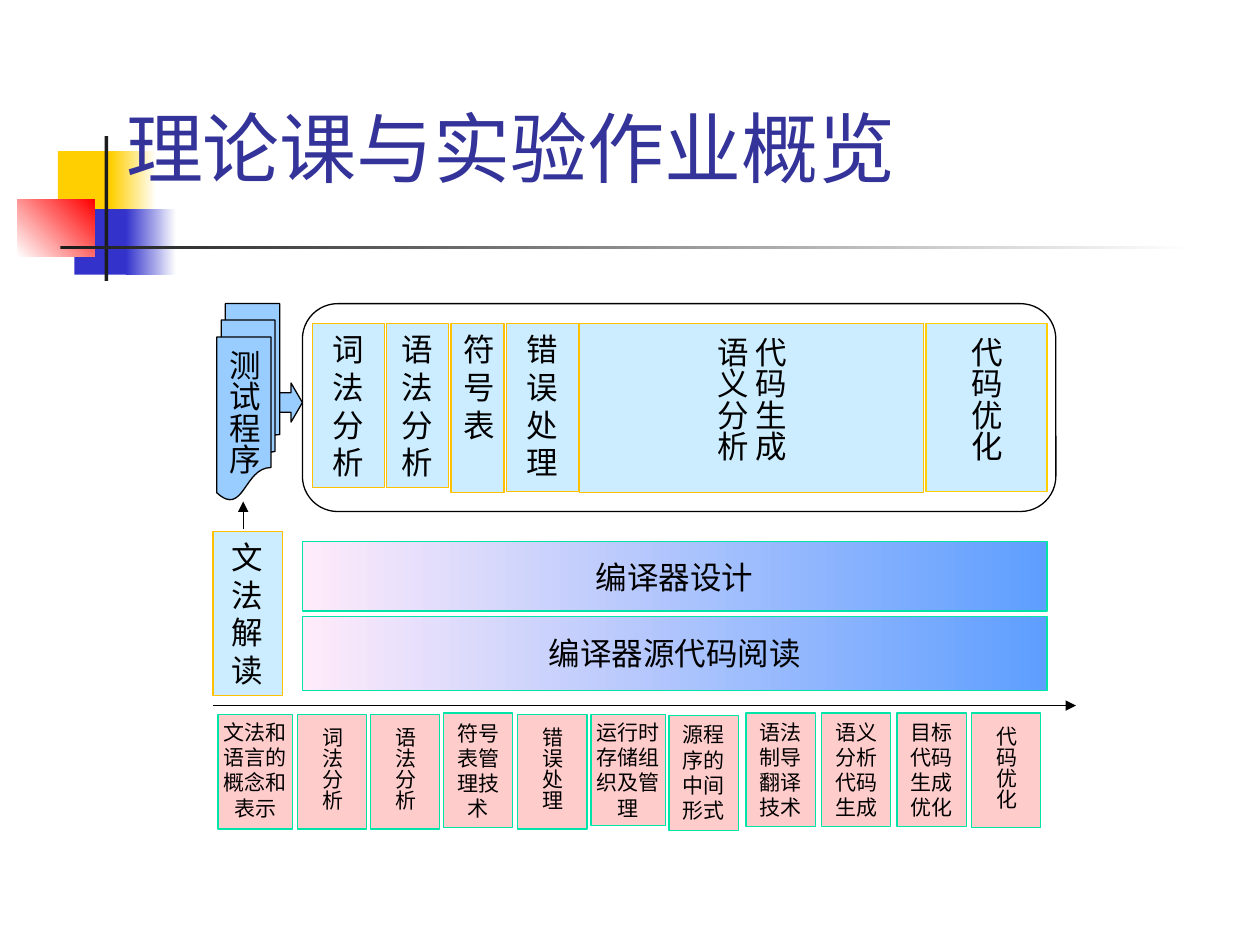
from dataclasses import dataclass

from lxml.etree import SubElement
from pptx import Presentation
from pptx.dml.color import RGBColor
from pptx.enum.shapes import MSO_CONNECTOR, MSO_SHAPE as Kind
from pptx.enum.text import MSO_ANCHOR as Anchor, MSO_AUTO_SIZE as Fit, PP_ALIGN as Align
from pptx.oxml.ns import qn
from pptx.util import Emu, Pt

PX = 9144  # EMU per px, 100 px to the inch
FONT = "Lato"
HEX = {
    "black": "000000", "white": "FFFFFF", "ink": "1C1C1C", "title": "333399",
    "yellow": "FFCF01", "blue": "3333CC", "red": "FF0000", "gold": "FFC000",
    "sky": "CCECFF", "doc": "99CCFF", "pink": "FFCCCC", "green": "00E4A8",
    "rose": "FFEBFA", "azure": "5E9EFF",
}
FLAT = (10, 5, 10, 5)
TIGHT = (4, 4, 4, 4)
TALL = (5, 10, 5, 10)


@dataclass
class Box:
    text: str
    x: int
    y: int
    w: int
    h: int
    pad: tuple[int, int, int, int] = FLAT
    mid: bool = False
    line: str = "gold"


@dataclass
class Deco:
    x: int
    y: int
    w: int
    h: int
    fill: str
    end: str | None = None
    angle: int = 0


DECOS = [
    Deco(46, 120, 48, 52, "yellow"),
    Deco(88, 120, 36, 52, "yellow", "white"),
    Deco(59, 166, 46, 52, "blue"),
    Deco(100, 166, 40, 52, "blue", "white"),
    Deco(14, 158, 61, 46, "white", "red", 45),
    Deco(83, 108, 3, 115, "ink"),
    Deco(48, 195, 900, 3, "ink", "white"),
]
STAGES = [
    Box("词法分析", 248, 257, 57, 130),
    Box("语法分析", 307, 257, 49, 130),
    Box("符号表", 358, 257, 42, 134),
    Box("错误处理", 402, 257, 57, 133),
    Box("代码生成语义分析", 460, 257, 273, 134, TALL, True),
    Box("代码优化", 735, 257, 96, 133, TALL, True, "yellow"),
    Box("文法解读", 169, 422, 55, 130),
]
TOPICS = [
    Box("文法和语言的概念和表示", 173, 567, 59, 91, TIGHT),
    Box("词法分析", 236, 567, 55, 91, TALL, True),
    Box("语法分析", 294, 567, 55, 91, TALL, True),
    Box("符号表管理技术", 352, 566, 55, 91, FLAT, True),
    Box("错误处理", 411, 567, 55, 91, TALL, True),
    Box("运行时存储组织及管理", 469, 567, 59, 88, TIGHT),
    Box("源程序的中间形式", 531, 568, 55, 91),
    Box("语法制导翻译技术", 592, 566, 55, 90),
    Box("语义分析代码生成", 652, 566, 55, 90),
    Box("目标代码生成优化", 712, 566, 55, 90),
    Box("代码优化", 771, 566, 55, 91, TALL, True),
]
BARS = [
    Box("编译器设计", 240, 430, 591, 55, FLAT, True),
    Box("编译器源代码阅读", 240, 489, 591, 59, FLAT, True),
]


def rgb(name: str) -> RGBColor:
    return RGBColor.from_string(HEX[name])


def write(shape, text: str, *, size: int, color: str = "black", align=Align.CENTER,
          anchor=Anchor.TOP, pad=FLAT, wrap: bool = True) -> None:
    """Put text in a shape; the TALL padding marks vertical text."""
    frame = shape.text_frame
    frame.text = text
    frame.auto_size = Fit.NONE
    frame.word_wrap = wrap
    frame.vertical_anchor = anchor
    (frame.margin_left, frame.margin_top,
     frame.margin_right, frame.margin_bottom) = (Emu(n * PX) for n in pad)
    if pad == TALL:
        frame._txBody.bodyPr.set("vert", "eaVert")
    para = frame.paragraphs[0]
    para.alignment = align
    font = para.runs[0].font
    font.size = Pt(size)
    font.name = FONT
    font.color.rgb = rgb(color)
    SubElement(font._element, qn("a:ea")).set("typeface", FONT)


def draw(slide, kind, x: int, y: int, w: int, h: int, *, fill: str | None = None,
         end: str | None = None, angle: int = 0, line: str | None = None):
    """Add a shape; a second colour makes its fill a gradient."""
    shape = slide.shapes.add_shape(kind, *(Emu(n * PX) for n in (x, y, w, h)))
    shape.shadow.inherit = False
    if end:
        shape.fill.gradient()
        shape.fill.gradient_angle = angle
        for stop, name in zip(shape.fill.gradient_stops, (fill, end)):
            stop.color.rgb = rgb(name)
    elif fill:
        shape.fill.solid()
        shape.fill.fore_color.rgb = rgb(fill)
    else:
        shape.fill.background()
    if line:
        shape.line.color.rgb = rgb(line)
        shape.line.width = Pt(0.75)
    else:
        shape.line.fill.background()
    return shape


def label(slide, box: Box, size: int, line: str, fill: str,
          end: str | None = None) -> None:
    shape = draw(slide, Kind.RECTANGLE, box.x, box.y, box.w, box.h,
                 fill=fill, end=end, line=line)
    write(shape, box.text, size=size, pad=box.pad,
          anchor=Anchor.MIDDLE if box.mid else Anchor.TOP)


def arrow(slide, x1: int, y1: int, x2: int, y2: int) -> None:
    link = slide.shapes.add_connector(
        MSO_CONNECTOR.STRAIGHT, *(Emu(n * PX) for n in (x1, y1, x2, y2)))
    link.line.color.rgb = rgb("black")
    link.line.width = Pt(0.75)
    SubElement(link.line._get_or_add_ln(), qn("a:tailEnd")).set("type", "triangle")
    SubElement(link._element.spPr, qn("a:effectLst"))


def head(slide, text: str) -> None:
    title = slide.shapes.title
    title.left, title.top, title.width, title.height = (
        Emu(n * PX) for n in (90, 66, 852, 92))
    write(title, text, size=44, color="title", align=Align.LEFT, anchor=Anchor.BOTTOM)
    slide.shapes._spTree.append(title._element)  # in front of the decoration


def main() -> None:
    deck = Presentation()
    deck.slide_width, deck.slide_height = Emu(1000 * PX), Emu(750 * PX)
    slide = deck.slides.add_slide(deck.slide_layouts[5])

    for d in DECOS:
        draw(slide, Kind.RECTANGLE, d.x, d.y, d.w, d.h,
             fill=d.fill, end=d.end, angle=d.angle)
    head(slide, "理论课与实验作业概览")

    frame = draw(slide, Kind.ROUNDED_RECTANGLE, 240, 241, 598, 165, line="black")
    frame.adjustments[0] = 0.17
    tests = draw(slide, Kind.FLOWCHART_MULTIDOCUMENT, 172, 241, 50, 156,
                 fill="doc", line="black")
    write(tests, "测试程序", size=18, anchor=Anchor.MIDDLE, pad=TALL, wrap=False)
    draw(slide, Kind.RIGHT_ARROW, 222, 304, 18, 31, fill="doc", line="black")

    for box in STAGES:
        label(slide, box, 18, box.line, "sky")
    for box in BARS:
        label(slide, box, 18, "green", "rose", "azure")
    for box in TOPICS:
        label(slide, box, 12, "green", "pink")

    arrow(slide, 193, 420, 193, 398)
    arrow(slide, 169, 560, 854, 560)
    deck.save("out.pptx")


if __name__ == "__main__":
    main()
